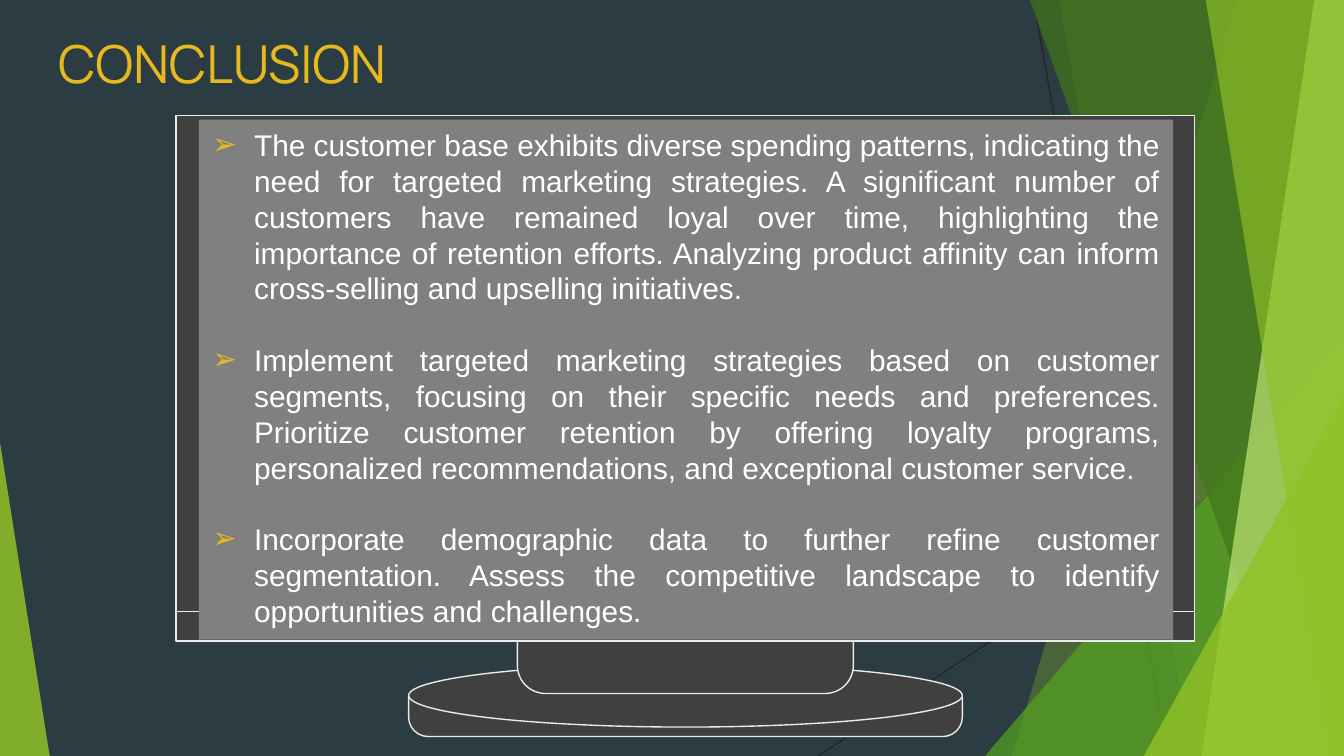
import pptx
import pptx.util
import pptx.dml.color
import pptx.enum.shapes
import pptx.enum.text
import pptx.oxml.ns
import lxml.etree

Inches = pptx.util.Inches
Pt = pptx.util.Pt
SHAPES = pptx.enum.shapes.MSO_SHAPE
ALIGN = pptx.enum.text.PP_ALIGN
ANCHOR = pptx.enum.text.MSO_ANCHOR
WIDTH = 10
HEIGHT = WIDTH * 9 / 16
GOLD, STEEL, EDGE = "E6B91E", "404040", "EBEBEB"
CONCLUSIONS = [
    "The customer base exhibits diverse spending patterns, indicating the need for targeted "
    "marketing strategies. A significant number of customers have remained loyal over time, "
    "highlighting the importance of retention efforts. Analyzing product affinity can inform "
    "cross-selling and upselling initiatives.",
    "Implement targeted marketing strategies based on customer segments, focusing on their "
    "specific needs and preferences. Prioritize customer retention by offering loyalty programs, "
    "personalized recommendations, and exceptional customer service.",
    "Incorporate demographic data to further refine customer segmentation. Assess the "
    "competitive landscape to identify opportunities and challenges.",
]


def color(value):
    """Turn a hex string into a colour."""
    return pptx.dml.color.RGBColor.from_string(value)


def add_xml(parent, tag, **attributes):
    """Append a DrawingML element to its parent."""
    return lxml.etree.SubElement(parent, pptx.oxml.ns.qn(tag), attributes)


def paint(shape, fill, opacity=100, edge=None):
    """Give a shape its fill, opacity and outline."""
    shape.shadow.inherit = False
    shape.fill.solid()
    shape.fill.fore_color.rgb = color(fill)
    if opacity < 100:
        tint = shape.fill._xPr.find(".//" + pptx.oxml.ns.qn("a:srgbClr"))
        add_xml(tint, "a:alpha", val=str(opacity * 1000))
    if edge:
        shape.line.color.rgb = color(edge)
        shape.line.width = Pt(0.75)
    else:
        shape.line.fill.background()


def add_preset(slide, kind, box, fill, opacity=100, edge=None, adjustments=()):
    """Add a painted preset shape in a box given in inches."""
    shape = slide.shapes.add_shape(kind, *map(Inches, box))
    for index, value in enumerate(adjustments):
        shape.adjustments[index] = value
    paint(shape, fill, opacity, edge)
    return shape


def add_ray(slide, start, end):
    """Add a thin dark line across the facets."""
    ray = slide.shapes.add_connector(
        pptx.enum.shapes.MSO_CONNECTOR.STRAIGHT, *map(Inches, start + end))
    ray.line.color.rgb = color("262626")
    ray.line.width = Pt(0.75)
    add_xml(ray._element.spPr, "a:effectLst")


def add_facet(slide, top_left, bottom_left, fill, opacity):
    """Add a translucent facet that reaches the right edge of the slide."""
    corners = [(top_left, -0.01), (WIDTH, -0.01), (WIDTH, HEIGHT), (bottom_left, HEIGHT)]
    points = [(Inches(x), Inches(y)) for x, y in corners]
    builder = slide.shapes.build_freeform(*points[0], scale=1.0)
    builder.add_line_segments(points[1:], close=True)
    paint(builder.convert_to_shape(), fill, opacity)


def add_wedge(slide, left, top, width, apex, fill, opacity):
    """Add a translucent triangle that stands on the bottom edge."""
    add_preset(slide, SHAPES.ISOSCELES_TRIANGLE, (left, top, width, HEIGHT - top),
               fill, opacity, adjustments=[apex])


def add_backdrop(slide):
    """Draw the dark background and its green facets."""
    slide.background.fill.solid()
    slide.background.fill.fore_color.rgb = color("2C3C43")
    add_ray(slide, (7.69, 0), (8.69, HEIGHT))
    add_ray(slide, (WIDTH, 3.02), (6.09, HEIGHT))
    add_facet(slide, 9.21, 7.53, "90C226", 30)
    add_facet(slide, 7.88, 8.87, "90C226", 20)
    add_wedge(slide, 7.33, 2.5, 2.67, 1, "54A021", 72)
    add_facet(slide, 7.66, 9.68, "3F7819", 70)
    add_facet(slide, 9.78, 8.94, "C0E474", 70)
    add_facet(slide, 8.97, 9.88, "90C226", 65)
    add_wedge(slide, 8.51, 2.94, 1.49, 1, "90C226", 80)
    add_wedge(slide, 0, 3.29, 0.37, 0, "90C226", 85)


def add_title(slide, box, text):
    """Write the slide title, aligned right in its box."""
    frame = slide.shapes.add_textbox(*map(Inches, box)).text_frame
    frame.word_wrap = True
    frame.margin_left = frame.margin_right = Inches(0.1)
    frame.margin_top = frame.margin_bottom = Inches(0.1)
    title = frame.paragraphs[0]
    title.text = text
    title.alignment = ALIGN.RIGHT
    title.font.name, title.font.size = "Manrope", Pt(28)
    title.font.color.rgb = color(GOLD)


def add_monitor(slide, left, top, width, height):
    """Draw a desktop monitor on its stand within a box."""
    center = left + width / 2
    bottom = top + height
    parts = [
        (SHAPES.ROUND_2_SAME_RECTANGLE, 4.12, bottom - 0.29, 0.29, [0, 0.5]),
        (SHAPES.OVAL, 4.12, bottom - 0.54, 0.47, []),
        (SHAPES.ROUND_2_SAME_RECTANGLE, 2.5, bottom - 0.74, 0.42, [0, 0.5]),
        (SHAPES.RECTANGLE, width, top + 0.22, 3.69, []),
        (SHAPES.RECTANGLE, width, top, 3.69, []),
    ]
    for kind, part_width, part_top, part_height, adjustments in parts:
        box = (center - part_width / 2, part_top, part_width, part_height)
        add_preset(slide, kind, box, STEEL, edge=EDGE, adjustments=adjustments)


def add_screen(slide, box, conclusions):
    """Fill the monitor screen with bulleted conclusions."""
    frame = add_preset(slide, SHAPES.RECTANGLE, box, "808080").text_frame
    frame.word_wrap = True
    frame.vertical_anchor = ANCHOR.MIDDLE
    frame.margin_bottom = Inches(0.08)
    hang = Pt(22.5)
    for index, conclusion in enumerate(conclusions):
        paragraph = frame.add_paragraph() if index else frame.paragraphs[0]
        paragraph.text = conclusion
        paragraph.alignment = ALIGN.JUSTIFY
        paragraph.line_spacing = Pt(19.2)
        if index:
            paragraph.space_before = Pt(19.2)
        properties = paragraph._p.get_or_add_pPr()
        properties.set("marL", str(hang))
        properties.set("indent", str(-hang))
        add_xml(add_xml(properties, "a:buClr"), "a:srgbClr", val=GOLD)
        add_xml(properties, "a:buFont", typeface="Arial")
        add_xml(properties, "a:buChar", char="➢")
        paragraph.font.name, paragraph.font.size = "Arial", Pt(16)
        paragraph.font.color.rgb = color("FFFFFF")


def main():
    """Build the conclusion slide."""
    deck = pptx.Presentation()
    deck.slide_width, deck.slide_height = Inches(WIDTH), Inches(HEIGHT)
    slide = deck.slides.add_slide(deck.slide_layouts[6])
    add_backdrop(slide)
    add_title(slide, (-1.39, 0.13, 4.36, 0.83), "CONCLUSION")
    add_monitor(slide, 1.31, 0.86, 7.58, 4.62)
    add_screen(slide, (1.48, 0.89, 7.25, 3.87), CONCLUSIONS)
    deck.save("out.pptx")


if __name__ == "__main__":
    main()
